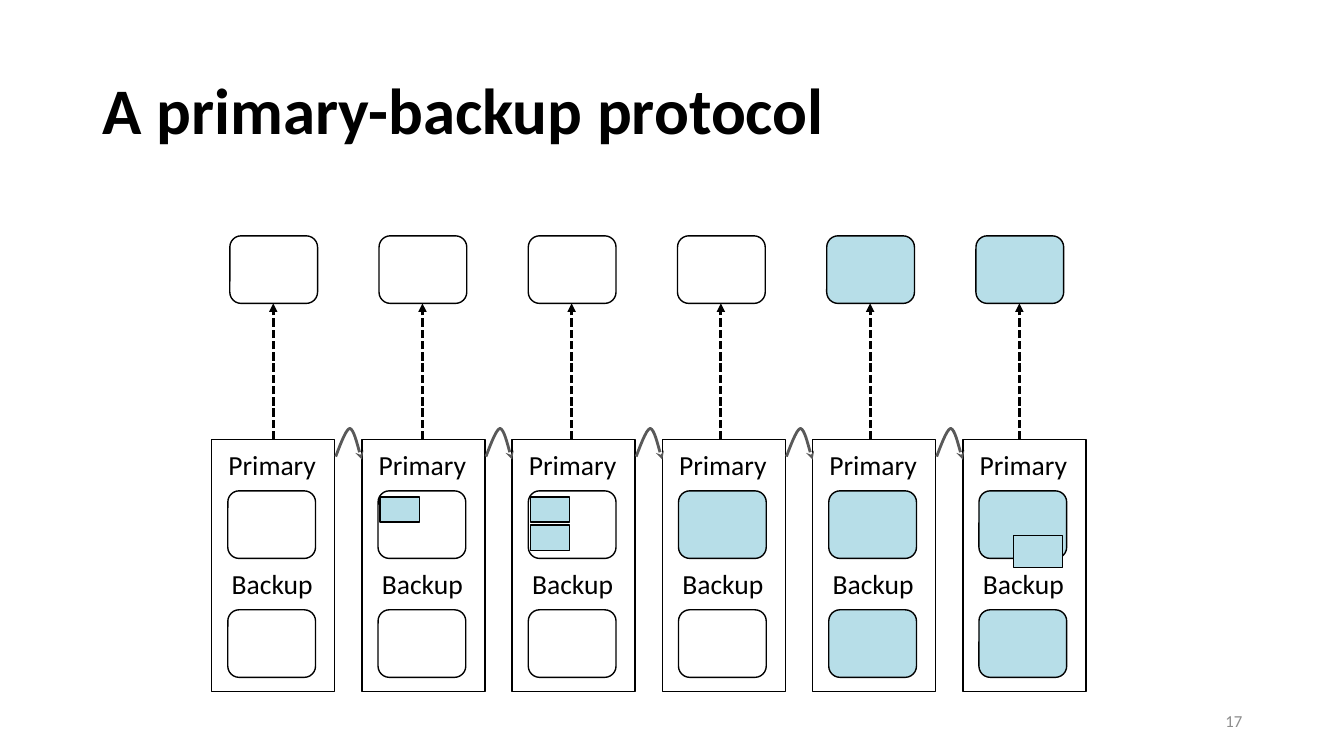
from pptx import Presentation
from pptx.dml.color import RGBColor
from pptx.enum.dml import MSO_LINE
from pptx.enum.shapes import MSO_CONNECTOR, MSO_SHAPE
from pptx.enum.text import MSO_ANCHOR, MSO_AUTO_SIZE, PP_ALIGN
from pptx.oxml.ns import qn
from pptx.util import Pt
from lxml import etree

PX = 9144
BLACK = RGBColor(0x00, 0x00, 0x00)
WHITE = RGBColor(0xFF, 0xFF, 0xFF)
UPDATED = RGBColor(0xB7, 0xDE, 0xE8)
HOP_GRAY = RGBColor(0x59, 0x59, 0x59)
NUMBER_GRAY = RGBColor(0x8C, 0x8C, 0x8C)

STAGE_LEFT, STAGE_TOP, STAGE_PITCH = 210, 436, 149
CLIENT_LEFT, CLIENT_TOP, CLIENT_PITCH = 228, 234, 148
STATE_WIDTH, STATE_HEIGHT = 87, 67
HOP_POINTS = [(0, 28), (2, 23), (10, 0), (14, 0), (18, 1), (24, 26), (26, 31)]

STAGES = [
    (WHITE, WHITE, WHITE, []),
    (WHITE, WHITE, WHITE, [(18, 57, 39, 25)]),
    (WHITE, WHITE, WHITE, [(18, 57, 39, 25), (18, 85, 39, 25)]),
    (WHITE, UPDATED, WHITE, []),
    (UPDATED, UPDATED, UPDATED, []),
    (UPDATED, UPDATED, UPDATED, [(50, 95, 49, 32)]),
]


def emu(*lengths):
    return [length * PX for length in lengths]


def add_box(shapes, kind, box, fill):
    shape = shapes.add_shape(kind, *emu(*box))
    shape.shadow.inherit = False
    shape.fill.solid()
    shape.fill.fore_color.rgb = fill
    shape.line.color.rgb = BLACK
    shape.line.width = Pt(1)


def add_state(shapes, left, top, fill):
    add_box(shapes, MSO_SHAPE.ROUNDED_RECTANGLE, (left, top, STATE_WIDTH, STATE_HEIGHT), fill)


def format_text(text_frame, size, color, align, bold=False):
    text_frame.word_wrap = True
    text_frame.auto_size = MSO_AUTO_SIZE.NONE
    text_frame.vertical_anchor = MSO_ANCHOR.MIDDLE
    paragraph = text_frame.paragraphs[0]
    paragraph.alignment = align
    font = paragraph.runs[0].font
    font.name = "Calibri"
    font.size = Pt(size)
    font.bold = bold
    font.color.rgb = color


def add_label(shapes, text, left, top):
    text_frame = shapes.add_textbox(*emu(left, top, 126, 41)).text_frame
    text_frame.text = text
    text_frame.margin_left = text_frame.margin_right = 4 * PX
    text_frame.margin_top = text_frame.margin_bottom = 4 * PX
    format_text(text_frame, 19.7, BLACK, PP_ALIGN.CENTER)


def style_arrow(line, color, head):
    line.color.rgb = color
    line.width = Pt(2)
    etree.SubElement(line._get_or_add_ln(), qn("a:tailEnd"), type=head)


def add_hop(shapes, left, top):
    points = [(left + x, top + y) for x, y in HOP_POINTS]
    builder = shapes.build_freeform(*points[0], scale=PX)
    builder.add_line_segments(points[1:], close=False)
    hop = builder.convert_to_shape()
    hop.shadow.inherit = False
    hop.fill.background()
    style_arrow(hop.line, HOP_GRAY, "stealth")
    segments = list(hop._element.iter(qn("a:lnTo")))
    outline = segments[0].getparent()
    for start in range(0, len(segments), 3):
        curve = etree.SubElement(outline, qn("a:cubicBezTo"))
        for segment in segments[start:start + 3]:
            curve.append(segment[0])
            outline.remove(segment)


def add_stage(slide, left, top, primary, backup, chunks, has_hop):
    shapes = slide.shapes.add_group_shape().shapes
    add_box(shapes, MSO_SHAPE.RECTANGLE, (left, top, 122, 250), WHITE)
    for text, offset, fill in (("Primary", 4, primary), ("Backup", 122, backup)):
        add_label(shapes, text, left - 3, top + offset)
        add_state(shapes, left + 16, top + offset + 47, fill)
    for x, y, width, height in chunks:
        add_box(shapes, MSO_SHAPE.RECTANGLE, (left + x, top + y, width, height), UPDATED)
    if has_hop:
        add_hop(shapes, left - 26, top - 11)


def add_client(slide, left, top, fill):
    center, bottom = left + STATE_WIDTH // 2, top + STATE_HEIGHT
    arrow = slide.shapes.add_connector(
        MSO_CONNECTOR.STRAIGHT, *emu(center, STAGE_TOP, center, bottom))
    arrow.line.dash_style = MSO_LINE.SQUARE_DOT
    style_arrow(arrow.line, BLACK, "triangle")
    etree.SubElement(arrow._element.spPr, qn("a:effectLst"))
    add_state(slide.shapes, left, top, fill)


def add_title(slide, left, top, width, height):
    title = slide.shapes.title
    title.left, title.top, title.width, title.height = emu(left, top, width, height)
    title.text_frame.text = "A primary-backup protocol"
    title.text_frame.paragraphs[0].line_spacing = 0.9
    format_text(title.text_frame, 46.4, BLACK, PP_ALIGN.LEFT, bold=True)


def add_slide_number(slide, left, top, width, height):
    text_frame = slide.shapes.add_textbox(*emu(left, top, width, height)).text_frame
    text_frame.text = "17"
    format_text(text_frame, 12, NUMBER_GRAY, PP_ALIGN.RIGHT)


def main():
    presentation = Presentation()
    presentation.slide_width, presentation.slide_height = emu(1333, 750)
    slide = presentation.slides.add_slide(presentation.slide_layouts[5])
    add_title(slide, 92, 40, 1150, 145)
    for index, (client, primary, backup, chunks) in enumerate(STAGES):
        add_client(slide, CLIENT_LEFT + index * CLIENT_PITCH, CLIENT_TOP, client)
        add_stage(slide, STAGE_LEFT + index * STAGE_PITCH, STAGE_TOP,
                  primary, backup, chunks, has_hop=index > 0)
    add_slide_number(slide, 942, 695, 300, 40)
    presentation.save("out.pptx")


if __name__ == "__main__":
    main()
